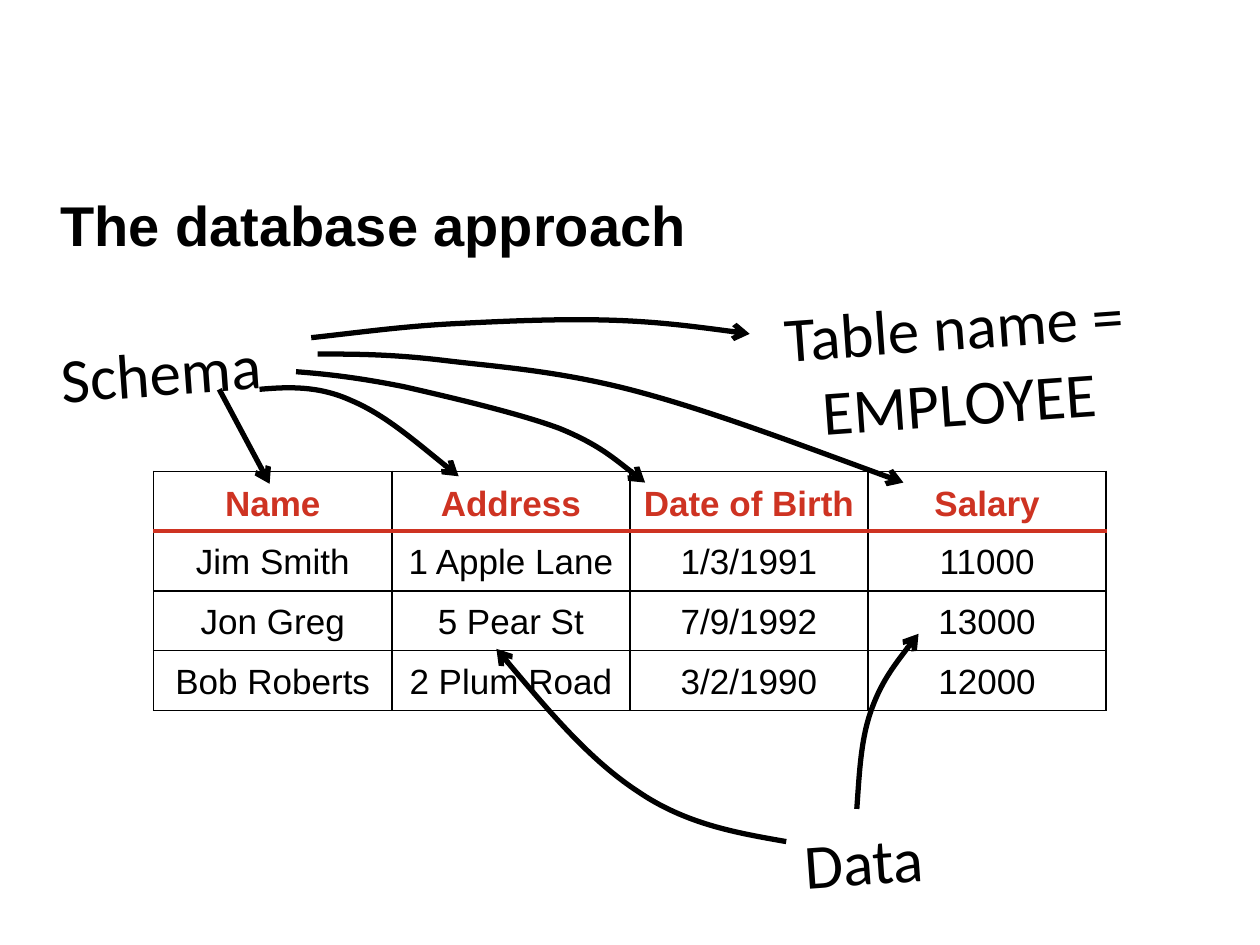
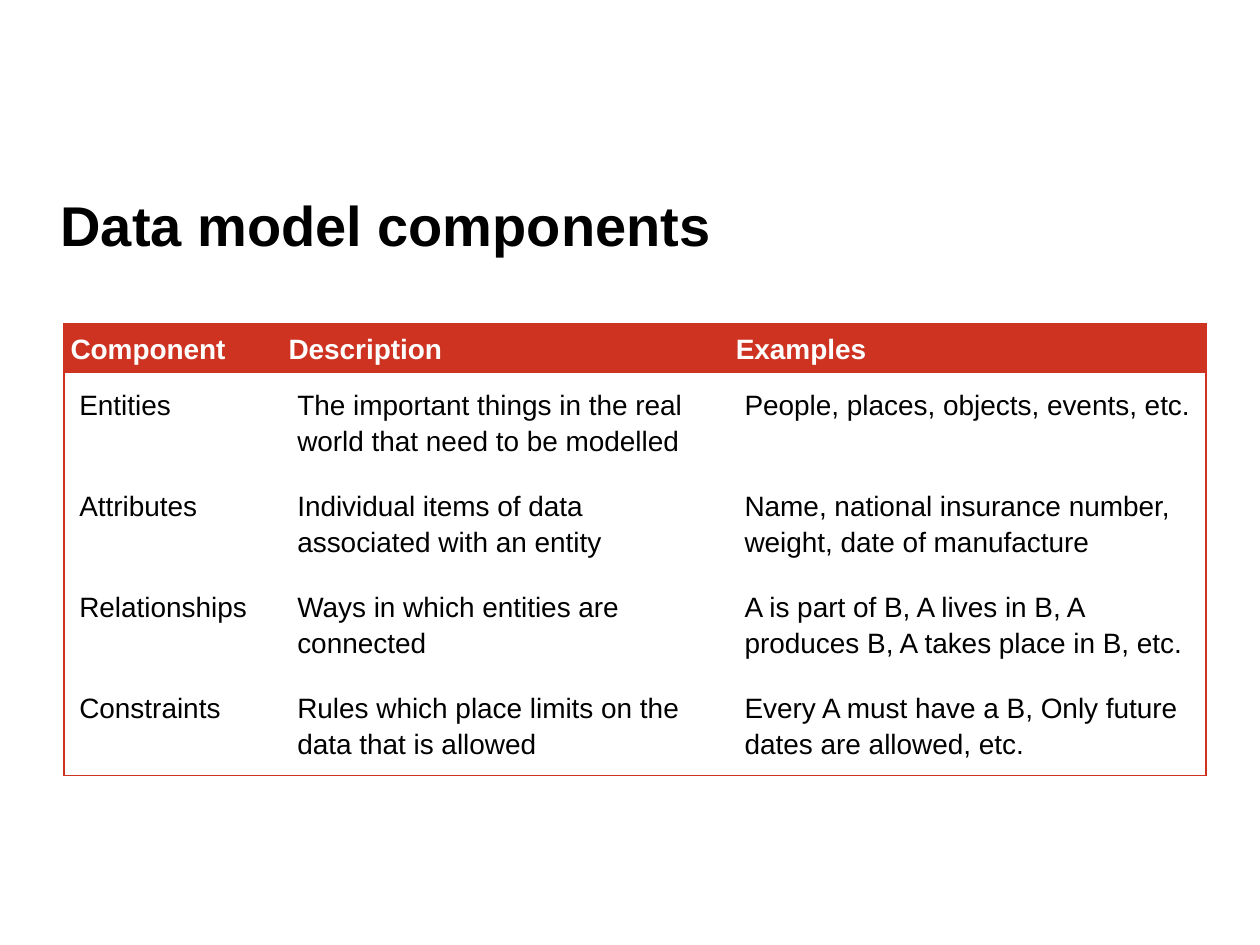
"""Builds two slides on the database approach and data model components."""
from lxml import etree
from pptx import Presentation
from pptx.dml.color import RGBColor
from pptx.enum.shapes import MSO_CONNECTOR
from pptx.enum.text import MSO_ANCHOR, MSO_AUTO_SIZE, PP_ALIGN
from pptx.oxml.ns import qn
from pptx.util import Inches, Pt

LEFT, CENTER = PP_ALIGN.LEFT, PP_ALIGN.CENTER
TOP, MIDDLE = MSO_ANCHOR.TOP, MSO_ANCHOR.MIDDLE
FIXED, GROW = MSO_AUTO_SIZE.NONE, MSO_AUTO_SIZE.SHAPE_TO_FIT_TEXT
STRAIGHT = MSO_CONNECTOR.STRAIGHT
BLACK, WHITE, RED = "000000", "FFFFFF", "CE3322"
PLAIN_TABLE = "{2D5ABB26-0587-4C30-8999-92F81FD0307C}"
TITLE_ONLY = 5
TITLE_BOX = (0.38, 1.4, 9.24, 0.76)
TILT = 355.9
THIN, THICK = 1, 2.25

EMPLOYEES = [
    ("Name", "Address", "Date of Birth", "Salary"),
    ("Jim Smith", "1 Apple Lane", "1/3/1991", "11000"),
    ("Jon Greg", "5 Pear St", "7/9/1992", "13000"),
    ("Bob Roberts", "2 Plum Road", "3/2/1990", "12000"),
]
COMPONENTS = [
    ("Component", "Description", "Examples"),
    ("Entities", "The important things in the real world that need to be modelled",
     "People, places, objects, events, etc."),
    ("Attributes", "Individual items of data associated with an entity",
     "Name, national insurance number, weight, date of manufacture"),
    ("Relationships", "Ways in which entities are connected",
     "A is part of B, A lives in B, A produces B, A takes place in B, etc."),
    ("Constraints", "Rules which place limits on the data that is allowed",
     "Every A must have a B, Only future dates are allowed, etc."),
]
LABELS = [
    ("Schema", (0.38, 2.57, 2.44, 0.71), LEFT),
    ("Data", (6.28, 6.43, 2.44, 0.71), LEFT),
    ("Table name = EMPLOYEE", (5.59, 2.23, 4, 1.31), CENTER),
]
NAME_ARROW = (1.74, 3.09, 2.14, 3.84)
CURVES = {
    "address": [(2.06, 3.09), (2.29, 3.07), (2.53, 3.06), (2.79, 3.18),
                (3.05, 3.29), (3.34, 3.54), (3.64, 3.78)],
    "birth date": [(2.35, 2.95), (2.61, 2.97), (2.86, 3), (3.21, 3.07),
                   (3.56, 3.15), (4.12, 3.28), (4.44, 3.4),
                   (4.76, 3.53), (5.12, 3.83), (5.12, 3.83)],
    "salary": [(2.52, 2.81), (2.81, 2.81), (3.1, 2.81), (3.52, 2.86),
               (3.93, 2.91), (4.42, 2.94), (5.03, 3.1),
               (5.64, 3.26), (6.4, 3.55), (7.17, 3.83)],
    "salary data": [(6.8, 6.42), (6.82, 6.15), (6.83, 5.88), (6.91, 5.65),
                    (6.99, 5.42), (7.14, 5.22), (7.29, 5.03)],
    "address data": [(6.24, 6.68), (5.84, 6.61), (5.44, 6.54), (5.06, 6.28),
                     (4.68, 6.03), (4.31, 5.59), (3.94, 5.15)],
    "table name": [(2.47, 2.68), (2.84, 2.64), (3.2, 2.59), (3.59, 2.57),
                   (3.98, 2.55), (4.41, 2.53), (4.8, 2.54),
                   (5.2, 2.55), (5.58, 2.6), (5.95, 2.65)],
}


def rgb(colour):
    return RGBColor.from_string(colour)


def apply(target, values):
    for name, value in values.items():
        setattr(target, name, value)


def place(shape, box):
    apply(shape, dict(zip(("left", "top", "width", "height"), map(Inches, box))))


def write(frame, text, size, font="Arial", colour=BLACK, bold=False, align=LEFT, spacing=1):
    para = frame.paragraphs[0]
    apply(para, {"alignment": align, "line_spacing": spacing})
    span = para.add_run()
    span.text = text
    apply(span.font, {"name": font, "size": Pt(size), "bold": bold})
    span.font.color.rgb = rgb(colour)


def add_page(deck, title):
    page = deck.slides.add_slide(deck.slide_layouts[TITLE_ONLY])
    holder = page.shapes.title
    place(holder, TITLE_BOX)
    apply(holder.text_frame, {"vertical_anchor": MIDDLE, "auto_size": FIXED, "word_wrap": True})
    write(holder.text_frame, title, 32, bold=True)
    return page


def add_label(page, text, box, align):
    label = page.shapes.add_textbox(*map(Inches, box))
    label.rotation = TILT
    apply(label.text_frame, {"word_wrap": True, "auto_size": GROW})
    write(label.text_frame, text, 36, font="Calibri", align=align)


def style_arrow(arrow):
    arrow.line.color.rgb = rgb(BLACK)
    arrow.line.width = Pt(3)
    properties = arrow._element.spPr
    etree.SubElement(properties.find(qn("a:ln")), qn("a:tailEnd"), type="arrow")
    if properties.find(qn("a:effectLst")) is None:
        etree.SubElement(properties, qn("a:effectLst"))


def add_curve(page, points):
    """Draws a polyline, then turns each three segments into one Bezier curve."""
    start, *others = [(Inches(x), Inches(y)) for x, y in points]
    builder = page.shapes.build_freeform(*start)
    builder.add_line_segments(others, close=False)
    curve = builder.convert_to_shape()
    curve.fill.background()
    segments = list(curve._element.iter(qn("a:lnTo")))
    for first in range(0, len(segments), 3):
        bezier = etree.SubElement(segments[first].getparent(), qn("a:cubicBezTo"))
        for segment in segments[first:first + 3]:
            bezier.append(segment[0])
            segment.getparent().remove(segment)
    style_arrow(curve)


def set_borders(cell, edges):
    properties = cell._tc.get_or_add_tcPr()
    for side in "LRTB":
        colour, width = edges.get(side, (None, 0))
        line = etree.SubElement(properties, qn("a:ln" + side), w=str(int(Pt(width))))
        if colour:
            fill = etree.SubElement(line, qn("a:solidFill"))
            etree.SubElement(fill, qn("a:srgbClr"), val=colour)
        else:
            etree.SubElement(line, qn("a:noFill"))


def grid_edges(row, column, last_row, last_column):
    edges = dict.fromkeys("LRTB", (BLACK, THIN))
    if row < 2:
        edges["TB"[row == 0]] = (RED, THICK)
    return edges


def frame_edges(row, column, last_row, last_column):
    shown = {"L": row == 0 or column == 0, "R": row == 0 or column == last_column,
             "T": row < 2, "B": row in (0, last_row)}
    return {side: (RED, THIN) for side in shown if shown[side]}


def add_grid(page, rows, corner, widths, heights, edges, size, align, insets, header):
    """Adds a table; heights and (across, down) insets are for the header, then the body."""
    row_heights = [heights[row > 0] for row in range(len(rows))]
    graphic = page.shapes.add_table(len(rows), len(widths), *map(
        Inches, (*corner, sum(widths), sum(row_heights))))
    table = graphic.table
    apply(table, {"first_row": False, "horz_banding": False})
    next(graphic._element.iter(qn("a:tableStyleId"))).text = PLAIN_TABLE
    for column, width in zip(table.columns, widths):
        column.width = Inches(width)
    for row, texts in enumerate(rows):
        table.rows[row].height = Inches(row_heights[row])
        is_header = row == 0
        across, down = map(Inches, insets[not is_header])
        for column, text in enumerate(texts):
            cell = table.cell(row, column)
            apply(cell, {"margin_left": across, "margin_right": across,
                         "margin_top": down, "margin_bottom": down,
                         "vertical_anchor": header["anchor"] if is_header else TOP})
            set_borders(cell, edges(row, column, len(rows) - 1, len(widths) - 1))
            if is_header and header["fill"]:
                cell.fill.solid()
                cell.fill.fore_color.rgb = rgb(header["fill"])
            else:
                cell.fill.background()
            write(cell.text_frame, text, size, colour=header["colour"] if is_header else BLACK,
                  bold=is_header, align=align, spacing=1.15)


def build_approach(deck):
    page = add_page(deck, "The database approach")
    height = 1.9 / len(EMPLOYEES)
    add_grid(page, EMPLOYEES, (1.22, 3.74), [1.89] * 4, (height, height), grid_edges, 20, CENTER,
             [(0.06, 0.05)] * 2, {"colour": RED, "fill": None, "anchor": MIDDLE})
    for label in LABELS:
        add_label(page, *label)
    style_arrow(page.shapes.add_connector(STRAIGHT, *map(Inches, NAME_ARROW)))
    for points in CURVES.values():
        add_curve(page, points)


def build_components(deck):
    page = add_page(deck, "Data model components")
    add_grid(page, COMPONENTS, (0.51, 2.57), [1.73, 3.55, 3.78], (0.38, 0.8), frame_edges, 16,
             LEFT, [(0.05, 0.05), (0.12, 0.11)], {"colour": WHITE, "fill": RED, "anchor": TOP})


deck = Presentation()
apply(deck, {"slide_width": Inches(10), "slide_height": Inches(7.5)})
build_approach(deck)
build_components(deck)
deck.save("out.pptx")
